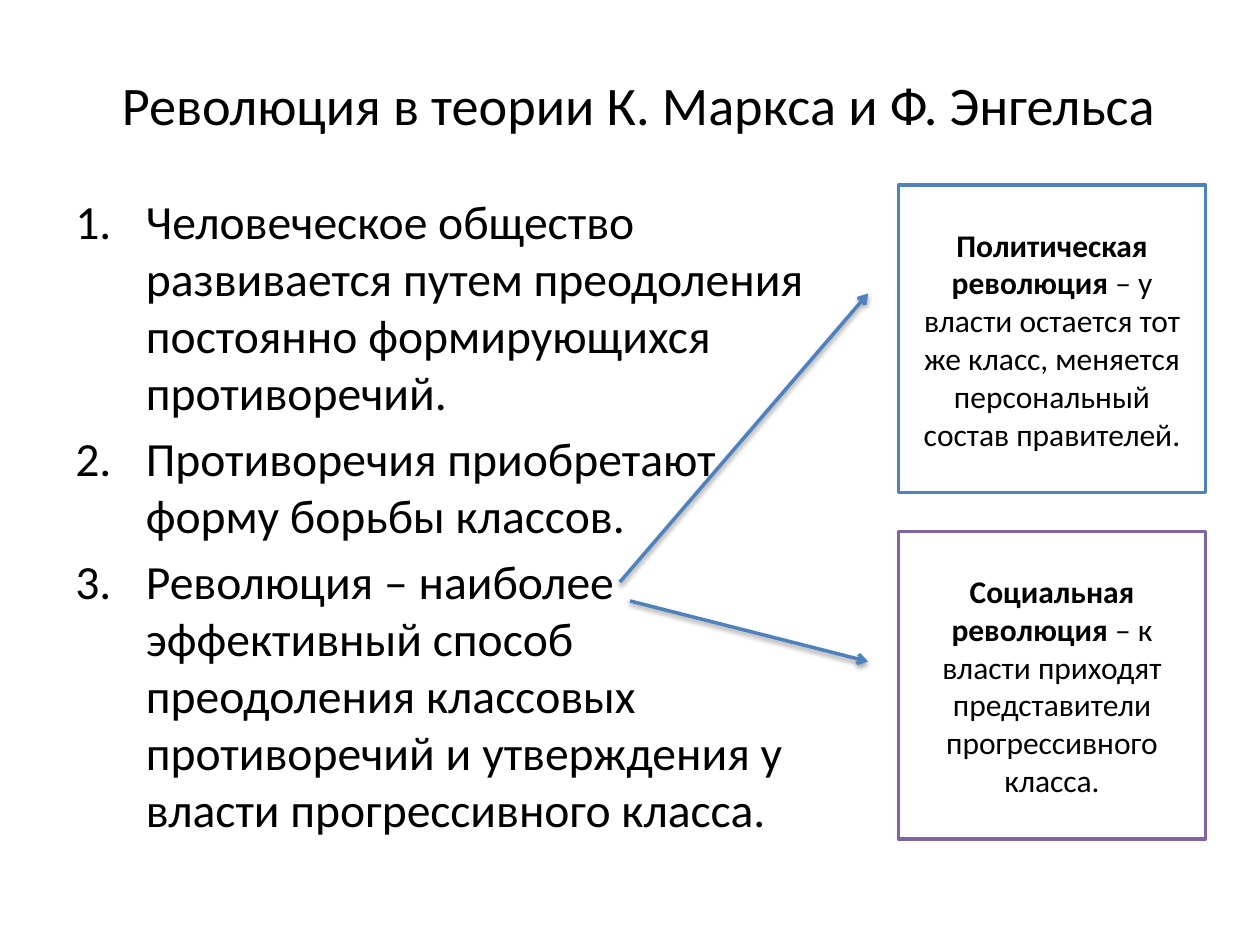
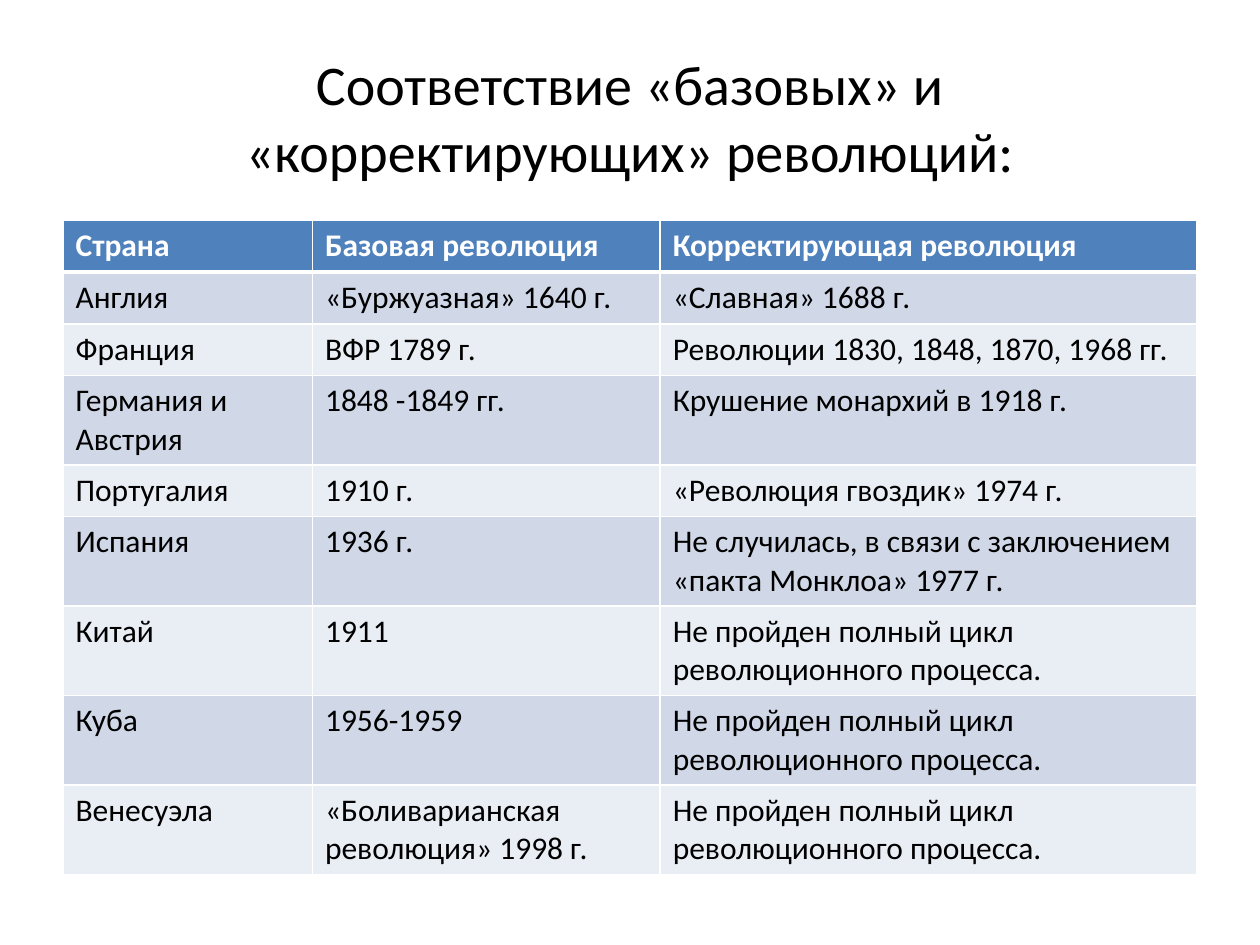
import pptx
import pptx.dml.color
import pptx.enum.shapes
import pptx.enum.text
import pptx.oxml
import pptx.oxml.ns
import pptx.util
from pptx.util import Inches

FONT = "Calibri"
BLACK, WHITE = "000000", "FFFFFF"
BLUE, PURPLE = "4F81BD", "8064A2"
BANDS = ("D0D8E8", "E9EDF4")
MIDDLE = pptx.enum.text.MSO_ANCHOR.MIDDLE
CENTER = pptx.enum.text.PP_ALIGN.CENTER
TITLE_ONLY = 5
UNFINISHED = "Не пройден полный цикл революционного процесса."

THESES = (
    "Человеческое общество развивается путем преодоления постоянно формирующихся противоречий.",
    "Противоречия приобретают форму борьбы классов.",
    "Революция – наиболее эффективный способ преодоления классовых противоречий "
    "и утверждения у власти прогрессивного класса.",
)
REVOLUTION_TYPES = (
    ("Политическая революция ",
     "– у власти остается тот же класс, меняется персональный состав правителей.", BLUE),
    ("Социальная революция ",
     "– к власти приходят представители прогрессивного класса.", PURPLE),
)
REVOLUTIONS = (
    ("Страна", "Базовая революция", "Корректирующая революция"),
    ("Англия", "«Буржуазная» 1640 г.", "«Славная» 1688 г."),
    ("Франция", "ВФР 1789 г.", "Революции 1830, 1848, 1870, 1968 гг."),
    ("Германия и Австрия", "1848 -1849 гг.", "Крушение монархий в 1918 г."),
    ("Португалия", "1910 г.", "«Революция гвоздик» 1974 г."),
    ("Испания", "1936 г.", "Не случилась, в связи с заключением «пакта Монклоа» 1977 г."),
    ("Китай", "1911", UNFINISHED),
    ("Куба", "1956-1959", UNFINISHED),
    ("Венесуэла", "«Боливарианская революция» 1998 г.", UNFINISHED),
)


def paint(target, color):
    target.rgb = pptx.dml.color.RGBColor.from_string(color)


def style(font, size, color=BLACK, bold=False):
    font.name = FONT
    font.size = pptx.util.Pt(size)
    font.bold = bold
    paint(font.color, color)


def place(shape, left, top, width, height):
    shape.left, shape.top = Inches(left), Inches(top)
    shape.width, shape.height = Inches(width), Inches(height)


def append_xml(parent, tag, content="", attributes=""):
    namespaces = pptx.oxml.ns.nsdecls("a")
    parent.append(pptx.oxml.parse_xml(f"<a:{tag} {namespaces} {attributes}>{content}</a:{tag}>"))


def solid_xml(color):
    return f'<a:solidFill><a:srgbClr val="{color}"/></a:solidFill>'


def add_titled_page(deck, text, height, size):
    page = deck.slides.add_slide(deck.slide_layouts[TITLE_ONLY])
    title = page.shapes.title
    place(title, 0.5, 0.3, 9, height)
    frame = title.text_frame
    frame.text = text
    frame.word_wrap = True
    frame.auto_size = pptx.enum.text.MSO_AUTO_SIZE.NONE
    frame.vertical_anchor = MIDDLE
    frame.paragraphs[0].alignment = CENTER
    style(frame.paragraphs[0].runs[0].font, size)
    return page


def add_numbered_list(page, items, left, top, width, height):
    box = page.shapes.add_textbox(Inches(left), Inches(top), Inches(width), Inches(height))
    frame = box.text_frame
    frame.word_wrap = True
    for index, item in enumerate(items):
        para = frame.add_paragraph() if index else frame.paragraphs[0]
        para.text = item
        if index:
            para.space_before = pptx.util.Pt(5)
        properties = para._p.get_or_add_pPr()
        properties.set("marL", str(Inches(0.56)))
        properties.set("indent", str(-Inches(0.56)))
        append_xml(properties, "buFont", attributes='typeface="+mj-lt"')
        append_xml(properties, "buAutoNum", attributes='type="arabicPeriod"')
        style(para.runs[0].font, 27.2)


def add_definition(page, term, meaning, outline, left, top, side):
    box = page.shapes.add_shape(
        pptx.enum.shapes.MSO_SHAPE.RECTANGLE,
        Inches(left), Inches(top), Inches(side), Inches(side))
    box.shadow.inherit = False
    box.fill.solid()
    paint(box.fill.fore_color, WHITE)
    paint(box.line.color, outline)
    box.line.width = pptx.util.Pt(2)
    frame = box.text_frame
    frame.word_wrap = True
    frame.vertical_anchor = MIDDLE
    para = frame.paragraphs[0]
    para.alignment = CENTER
    for text, bold in ((term, True), (meaning, False)):
        span = para.add_run()
        span.text = text
        style(span.font, 18, bold=bold)


def add_arrow(page, start, end):
    arrow = page.shapes.add_connector(
        pptx.enum.shapes.MSO_CONNECTOR.STRAIGHT, *map(Inches, start + end))
    paint(arrow.line.color, BLUE)
    arrow.line.width = pptx.util.Pt(2)
    append_xml(arrow.line._get_or_add_ln(), "tailEnd", attributes='type="arrow"')
    shadow = (
        f'<a:outerShdw blurRad="{pptx.util.Pt(3.1)}" dist="{pptx.util.Pt(1.6)}" '
        f'dir="5400000" rotWithShape="0"><a:srgbClr val="{BLACK}">'
        '<a:alpha val="38000"/></a:srgbClr></a:outerShdw>')
    append_xml(arrow._element.spPr, "effectLst", shadow)


def format_cell(cell, text, row):
    header = row == 0
    cell.text = text
    style(cell.text_frame.paragraphs[0].runs[0].font, 18, WHITE if header else BLACK, header)
    widths = {"lnL": 1, "lnR": 1, "lnT": 3 if row == 1 else 1, "lnB": 3 if header else 1}
    properties = cell._tc.get_or_add_tcPr()
    for edge, width in widths.items():
        append_xml(properties, edge, solid_xml(WHITE), f'w="{pptx.util.Pt(width)}"')
    cell.fill.solid()
    paint(cell.fill.fore_color, BLUE if header else BANDS[(row - 1) % 2])


def add_revolution_table(page, rows, left, top, widths, row_height):
    table = page.shapes.add_table(
        len(rows), len(widths), Inches(left), Inches(top),
        Inches(sum(widths)), Inches(row_height * len(rows))).table
    for column, width in zip(table.columns, widths):
        column.width = Inches(width)
    for row, texts in enumerate(rows):
        table.rows[row].height = Inches(row_height)
        for column, text in enumerate(texts):
            format_cell(table.cell(row, column), text, row)


def build_theory_page(deck):
    page = add_titled_page(deck, "Революция в теории К. Маркса и Ф. Энгельса", 0.85, 31)
    title_frame = page.shapes.title.text_frame
    title_frame.margin_left = Inches(0.23)
    title_frame.margin_top = Inches(0.24)
    add_numbered_list(page, THESES, 0.5, 1.47, 6.07, 5.23)
    for index, (term, meaning, outline) in enumerate(REVOLUTION_TYPES):
        add_definition(page, term, meaning, outline, 7.13, 1.47 + index * 2.75, 2.44)
    add_arrow(page, (4.92, 4.62), (6.89, 2.33))
    add_arrow(page, (5, 4.77), (6.89, 5.25))


def build_comparison_page(deck):
    page = add_titled_page(
        deck, "Соответствие «базовых» и «корректирующих» революций:", 1.25, 32)
    add_revolution_table(page, REVOLUTIONS, 0.5, 1.75, (1.98, 2.76, 4.26), 0.41)


def main():
    deck = pptx.Presentation()
    deck.slide_width, deck.slide_height = Inches(10), Inches(7.5)
    build_theory_page(deck)
    build_comparison_page(deck)
    deck.save("out.pptx")


if __name__ == "__main__":
    main()
